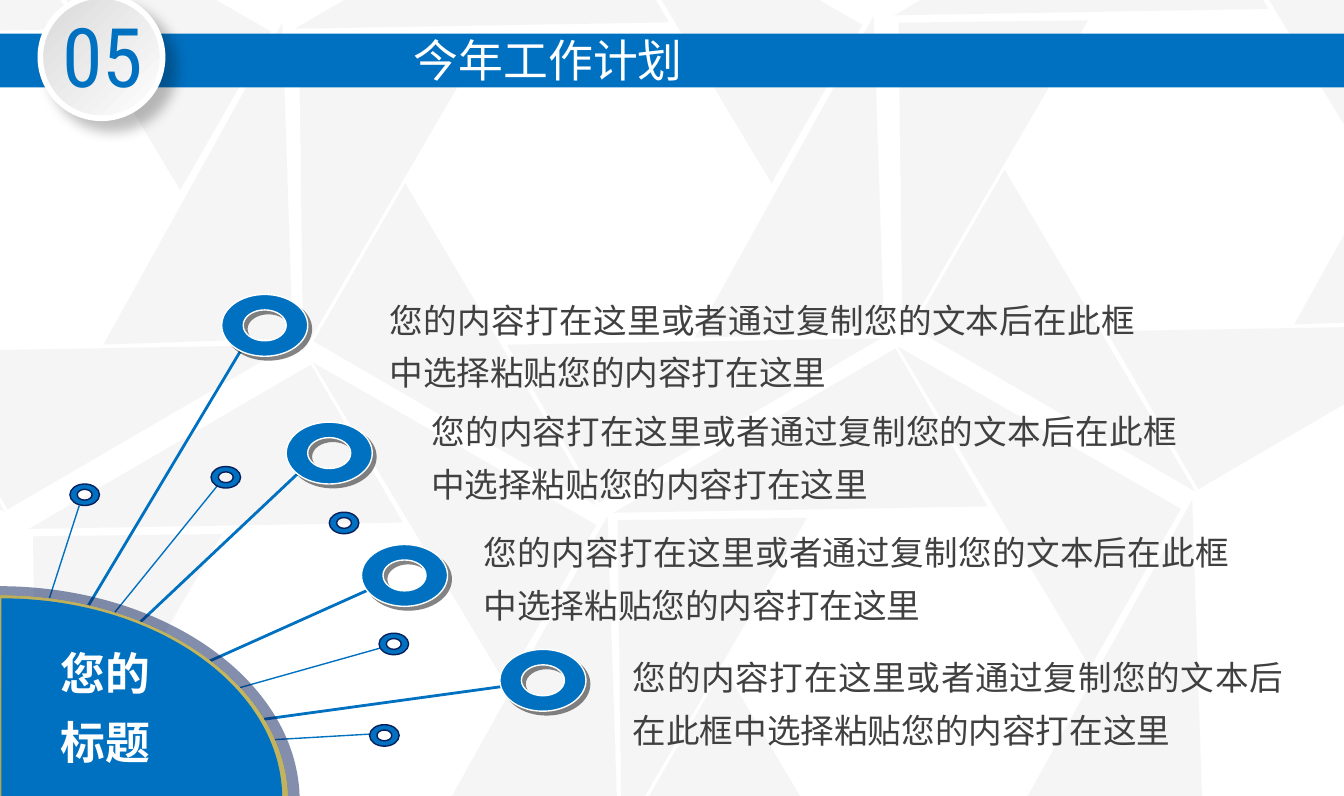
import math

from lxml import etree
from pptx import Presentation
from pptx.dml import color
from pptx.enum import shapes, text
from pptx.oxml import ns
from pptx.util import Pt

SCALE = 9144  # EMU per px, 100 px to the inch
BLUE, NAVY, WHITE = "0070C0", "061F5B", "FFFFFF"
SANS, CONDENSED = "Noto Sans CJK SC", "Roboto Condensed"
HUB = (-1, 562)
KAPPA = 0.5523  # handle length of a quarter circle


def px(value):
    return round(value * SCALE)


def rgb(value):
    return color.RGBColor.from_string(value)


def arc(left, top, width, height, start, quarters, way=1):
    """Bezier points in EMU: the start, then three for each quarter turn."""
    points = []
    for step in range(quarters + 1):
        angle = math.radians(start + way * 90 * step)
        across, down = math.cos(angle), math.sin(angle)
        for handle in (-KAPPA, 0, KAPPA):
            points.append((px(left + width / 2 * (1 + across - way * handle * down)),
                           px(top + height / 2 * (1 + down + way * handle * across))))
    return points[1:-1]


def bend(shape):
    """Turn each three line segments into one curve."""
    segments = list(shape._element.spPr.iter(ns.qn("a:lnTo")))
    for first in range(0, len(segments) - 2, 3):
        curve = etree.Element(ns.qn("a:cubicBezTo"))
        segments[first].addprevious(curve)
        for segment in segments[first:first + 3]:
            curve.append(segment[0])
            segment.getparent().remove(segment)
    return shape


class Painter:
    def __init__(self, page):
        self.page = page

    def style(self, shape, fill, line=None, alpha=None, shadow=None):
        """Fill is one colour, or (first, last, clockwise angle) for a gradient."""
        if isinstance(fill, tuple):
            shape.fill.gradient()
            shape.fill.gradient_angle = 360 - fill[2]
            for stop, value, place in zip(shape.fill.gradient_stops, fill, (0, 1)):
                stop.color.rgb = rgb(value)
                stop.position = place
        else:
            shape.fill.solid()
            shape.fill.fore_color.rgb = rgb(fill)
        if alpha:
            solid = shape._element.spPr.find(ns.qn("a:solidFill"))
            etree.SubElement(solid[0], ns.qn("a:alpha"), val=str(alpha * 1000))
        if line:
            shape.line.color.rgb = rgb(line[0])
            shape.line.width = Pt(line[1])
        else:
            shape.line.fill.background()
        shape.shadow.inherit = False
        if shadow:
            value, opacity, blur, distance = shadow
            effects = shape._element.spPr.find(ns.qn("a:effectLst"))
            outer = etree.SubElement(
                effects, ns.qn("a:outerShdw"), blurRad=str(Pt(blur)),
                dist=str(Pt(distance)), dir="2700000", algn="ctr", rotWithShape="0")
            tone = etree.SubElement(outer, ns.qn("a:srgbClr"), val=value)
            etree.SubElement(tone, ns.qn("a:alpha"), val=str(opacity * 1000))

    def shape(self, kind, left, top, width, height, fill, turn=0, **style):
        shape = self.page.shapes.add_shape(kind, px(left), px(top), px(width), px(height))
        shape.rotation = turn
        self.style(shape, fill, **style)

    def ring(self, left, top, width, height, **style):
        """A flattened ring whose hole is half its size."""
        outer = arc(left, top, width, height, 180, 4)
        hole = arc(left + width / 4, top + height / 4, width / 2, height / 2, 180, 4, -1)
        builder = self.page.shapes.build_freeform(*outer[0], scale=1.0)
        builder.add_line_segments(outer[1:], close=True)
        builder.move_to(*hole[0])
        builder.add_line_segments(hole[1:], close=True)
        self.style(bend(builder.convert_to_shape()), BLUE, **style)

    def quarter(self, left, top, width, height, fill, **style):
        """The upper right quarter of an ellipse."""
        rim = arc(left - width, top, width * 2, height * 2, -90, 1)
        builder = self.page.shapes.build_freeform(*rim[0], scale=1.0)
        builder.add_line_segments(rim[1:] + [(px(left), px(top + height))], close=True)
        self.style(bend(builder.convert_to_shape()), fill, **style)

    def line(self, start, end, weight):
        line = self.page.shapes.add_connector(
            shapes.MSO_CONNECTOR.STRAIGHT, *map(px, start + end))
        line.line.color.rgb = rgb(BLUE)
        line.line.width = Pt(weight)
        etree.SubElement(line._element.spPr, ns.qn("a:effectLst"))

    def text(self, left, top, width, height, lines, size, tone, font=SANS, bold=False,
             align=text.PP_ALIGN.CENTER, spacing=None, middle=False):
        box = self.page.shapes.add_textbox(px(left), px(top), px(width), px(height))
        frame = box.text_frame
        frame.word_wrap = True
        if middle:
            frame.vertical_anchor = text.MSO_ANCHOR.MIDDLE
        else:
            frame.auto_size = text.MSO_AUTO_SIZE.SHAPE_TO_FIT_TEXT
        for index, words in enumerate(lines):
            para = frame.add_paragraph() if index else frame.paragraphs[0]
            para.alignment = align
            if spacing:
                para.line_spacing = spacing
            span = para.add_run()
            span.text = words
            span.font.size = Pt(size)
            span.font.bold = bold
            span.font.name = font
            span.font.color.rgb = rgb(tone)
            etree.SubElement(span._r.get_or_add_rPr(), ns.qn("a:ea"), typeface=font)


deck = Presentation()
deck.slide_width, deck.slide_height = px(1000), px(592)
painter = Painter(deck.slides.add_slide(deck.slide_layouts[6]))
SHAPE = shapes.MSO_SHAPE

# Background: pinwheels of six pale triangles, the last one cut by the left edge
BLADES = [(0, 0, 243, 136, 149.8), (-60, 122, 235, 141, 89.3), (14, 237, 243, 136, 30.1),
          (158, 235, 243, 136, 329.8), (229, 110, 235, 141, 268.1),
          (144, -2, 243, 136, 209.8)]
for left, top in [(39, 323), (474, 311), (237, -49), (683, -59), (-203, -44)]:
    for across, down, width, height, turn in BLADES:
        if left + across + width > 0:
            painter.shape(SHAPE.RIGHT_TRIANGLE, left + across, top + down, width, height,
                          "BFBFBF", turn=turn, alpha=14)

# Spokes running to the hub
for tip in [(275, 546), (59, 376), (162, 361), (283, 482)]:
    painter.line(tip, HUB, 0.75)
for tip in [(182, 256), (225, 349), (278, 437), (378, 510)]:
    painter.line(tip, HUB, 1.5)

# Small rings
for left, top in [(157, 347), (245, 381), (282, 471), (52, 360), (275, 539)]:
    painter.ring(left, top, 22, 16, line=(NAVY, 0.75))

# Hub: halo, gold rim and blue face
painter.quarter(-1, 436, 224, 160, NAVY, alpha=50)
painter.quarter(-1, 443, 215, 153, ("B1A456", "CBBC63", 315))
painter.quarter(1, 445, 209, 149, BLUE)
painter.text(35, 463, 92, 115, ["您的", "标题"], 24, WHITE, bold=True,
             align=text.PP_ALIGN.JUSTIFY, spacing=1.3)

# Large rings, each with its text
BODY = "您的内容打在这里或者通过复制您的文本后在此框中选择粘贴您的内容打在这里"
ITEMS = [((165, 219), (280, 209, 575)), ((213, 314), (311, 292, 575)),
         ((269, 405), (350, 382, 575)), ((372, 483), (461, 475, 504))]
for ring, block in ITEMS:
    painter.ring(*ring, 64, 46, line=("FEFFFF", 0.75), shadow=("080808", 50, 0, 2.8))
    painter.text(*block, 89, [BODY], 18, "404040",
                 align=text.PP_ALIGN.JUSTIFY, spacing=1.3)

# Title band and number badge
painter.shape(SHAPE.RECTANGLE, 0, 25, 1000, 40, BLUE)
painter.shape(SHAPE.OVAL, 30, -3, 91, 91, ("D9D9D9", WHITE, 45),
              line=(WHITE, 3), shadow=("000000", 25, 7, 8))
painter.text(35, -1, 83, 84, ["05"], 44, BLUE, font=CONDENSED)
painter.text(213, 16, 390, 56, ["今年工作计划"], 24, WHITE, middle=True)

deck.save("out.pptx")
